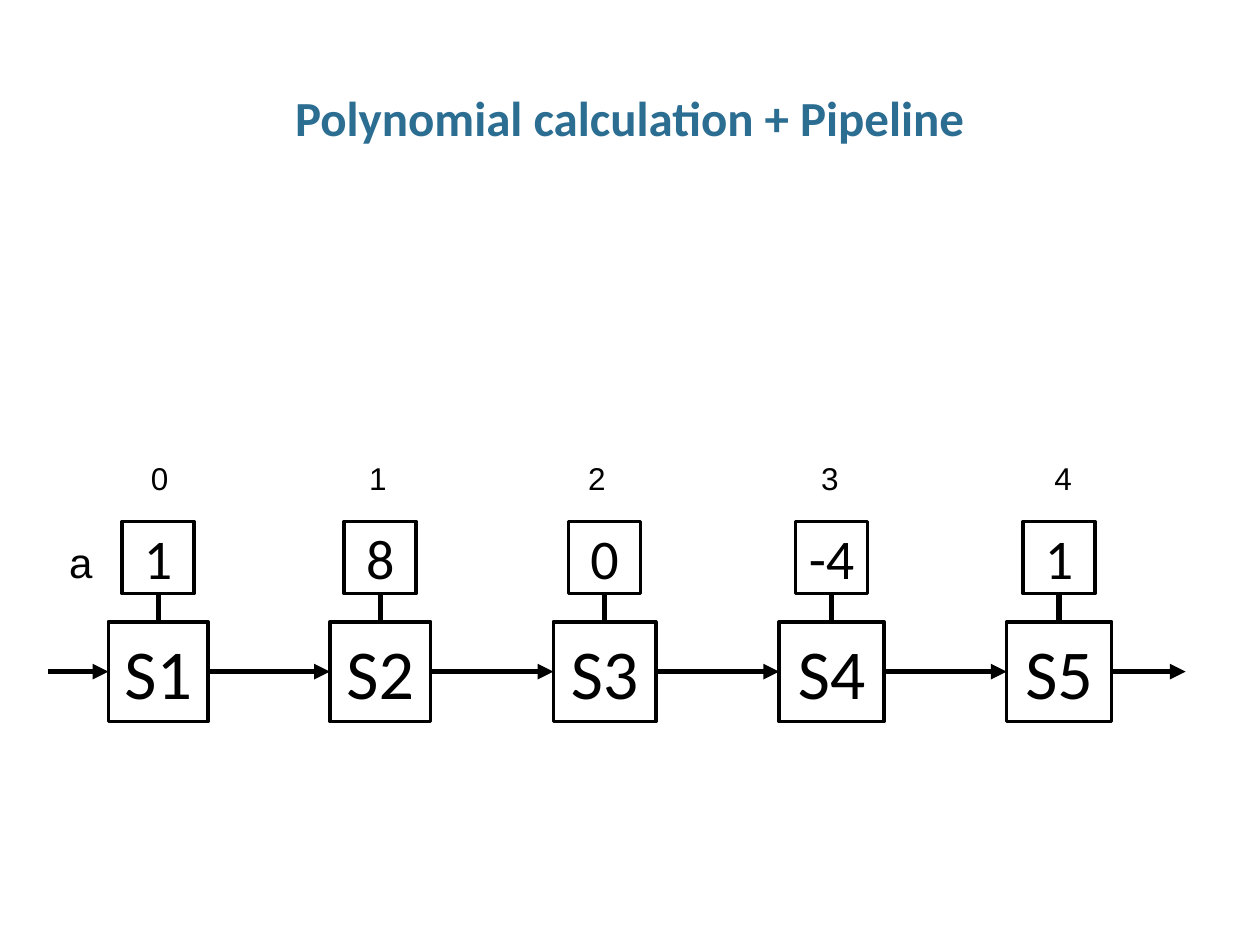
from lxml import etree
from pptx import Presentation
from pptx.dml.color import RGBColor
from pptx.enum.shapes import MSO_CONNECTOR, MSO_SHAPE
from pptx.enum.text import MSO_ANCHOR, PP_ALIGN
from pptx.oxml.ns import qn
from pptx.util import Pt

RECTANGLE = MSO_SHAPE.RECTANGLE
STRAIGHT = MSO_CONNECTOR.STRAIGHT
CENTER, LEFT = PP_ALIGN.CENTER, PP_ALIGN.LEFT
TOP, MIDDLE = MSO_ANCHOR.TOP, MSO_ANCHOR.MIDDLE
TOP_SIDE, LEFT_SIDE, BOTTOM_SIDE, RIGHT_SIDE = range(4)
COLORS = {"title": "2C6D92", "ink": "000000"}


def write(shape, text, size, font="Calibri", color="ink", bold=False,
          align=CENTER, anchor=MIDDLE, wrap=True):
    frame = shape.text_frame
    frame.word_wrap = wrap
    frame.vertical_anchor = anchor
    para = frame.paragraphs[0]
    para.alignment = align
    span = para.add_run()
    span.text = text
    span.font.name = font
    span.font.size = Pt(size)
    span.font.bold = bold
    span.font.color.rgb = RGBColor.from_string(COLORS[color])
    return para


def connect(start, end, begin=None, finish=None, arrow=False):
    """Draw a line; begin and finish are (shape, side) pairs to join."""
    line = page.shapes.add_connector(STRAIGHT, *(Pt(v) for v in start + end))
    if begin:
        line.begin_connect(*begin)
    if finish:
        line.end_connect(*finish)
    line.line.color.rgb = RGBColor.from_string(COLORS["ink"])
    line.line.width = Pt(3)
    if arrow:
        outline = line.line._get_or_add_ln()
        etree.SubElement(outline, qn("a:tailEnd"), type="triangle")
    etree.SubElement(line._element.spPr, qn("a:effectLst"))


deck = Presentation()
deck.slide_width, deck.slide_height = Pt(720), Pt(540)
page = deck.slides.add_slide(deck.slide_layouts[5])

# Title
title = page.shapes.title
title.left, title.top, title.width, title.height = Pt(24.5), Pt(49), Pt(670.5), Pt(36)
title.text_frame.margin_left = title.text_frame.margin_right = 0
heading = write(title, "Polynomial calculation + Pipeline", 28, color="title",
                bold=True, anchor=TOP)
heading.line_spacing = 0.95

# Stages with their coefficients: centre, stage width, coefficient, index left
COLUMNS = [
    (90.4, 57, "1", 79.2),
    (217.3, 57.5, "8", 203.8),
    (345.5, 58.5, "0", 329),
    (475.2, 60, "-4", 462.2),
    (605.2, 60, "1", 595.4),
]
STAGE_TOP, STAGE_HEIGHT = 355.3, 57
COEFFICIENT_TOP, COEFFICIENT_SIZE = 298, 41.2
stages = []
for index, (center, stage_width, coefficient, index_left) in enumerate(COLUMNS):
    boxes = []
    for text, size, top, width, height in [
        (f"S{index + 1}", 40, STAGE_TOP, stage_width, STAGE_HEIGHT),
        (coefficient, 32, COEFFICIENT_TOP, COEFFICIENT_SIZE, COEFFICIENT_SIZE),
    ]:
        box = page.shapes.add_shape(RECTANGLE, Pt(center - width / 2), Pt(top),
                                    Pt(width), Pt(height))
        box.shadow.inherit = False
        box.fill.background()
        box.line.color.rgb = RGBColor.from_string(COLORS["ink"])
        box.line.width = Pt(2)
        write(box, text, size)
        boxes.append(box)
    stage, holder = boxes
    stages.append(stage)
    connect((center, STAGE_TOP), (center, COEFFICIENT_TOP + COEFFICIENT_SIZE),
            (stage, TOP_SIDE), (holder, BOTTOM_SIDE))
    label = page.shapes.add_textbox(Pt(index_left), Pt(258.5), Pt(24.5), Pt(29))
    write(label, str(index), 18, font="Arial", align=LEFT, anchor=TOP, wrap=False)

# Array name
name = page.shapes.add_textbox(Pt(32.4), Pt(303.1), Pt(28), Pt(36))
write(name, "a", 24, font="Arial", align=LEFT, anchor=TOP, wrap=False)

# Pipeline arrows: in, between the stages, out
flow = STAGE_TOP + STAGE_HEIGHT / 2
for before, after in zip([None] + stages, stages + [None]):
    connect((27.4, flow), (677.5, flow),
            begin=(before, RIGHT_SIDE) if before else None,
            finish=(after, LEFT_SIDE) if after else None,
            arrow=True)

deck.save("out.pptx")
